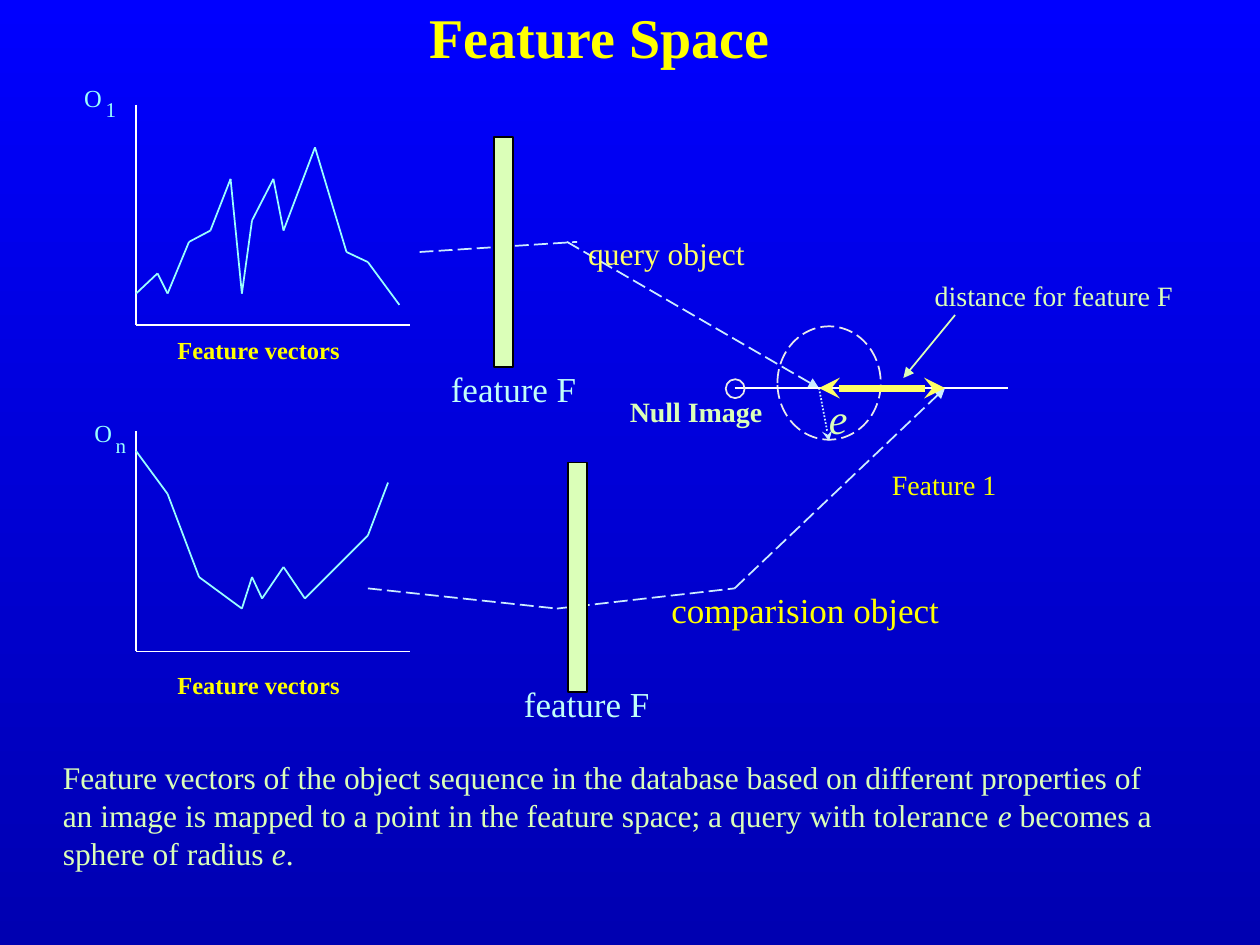
from lxml import etree
from pptx import Presentation
from pptx.dml import color
from pptx.enum import dml, shapes, text
from pptx.oxml import ns
from pptx.util import Inches, Pt

FONT = "Times New Roman"
WHITE, CYAN, PALE_BLUE, GREY = "FFFFFF", "99FFFF", "CCECFF", "EAEAEA"
YELLOW, SOFT_YELLOW, GOLD = "FFFF00", "FFFF66", "FAFD00"
GREEN, AQUA = "DBFFB8", "C0FEF9"
DASH = dml.MSO_LINE.LONG_DASH

QUERY_CURVE = [(1.08, 2.33), (1.25, 2.17), (1.33, 2.33), (1.5, 1.92), (1.67, 1.83),
               (1.83, 1.42), (1.92, 2.33), (2, 1.75), (2.17, 1.42), (2.25, 1.83),
               (2.5, 1.17), (2.75, 2), (2.92, 2.08), (3.17, 2.42)]
COMPARISON_CURVE = [(1.08, 3.58), (1.33, 3.92), (1.58, 4.58), (1.92, 4.83), (2, 4.58),
                    (2.08, 4.75), (2.25, 4.5), (2.42, 4.75), (2.92, 4.25), (3.08, 3.83)]
EXPLANATION = [
    ["Feature vectors of the object sequence in the database based on different properties of"],
    ["an image is mapped to a point in the feature space; a query with tolerance ", "e", " becomes a"],
    ["sphere of radius ", "e", "."],
]


def rgb(value):
    return color.RGBColor.from_string(value)


def set_line(line, shade, width=1, dash=None):
    line.color.rgb = rgb(shade)
    line.width = Pt(width)
    if dash is not None:
        line.dash_style = dash


def add_line(slide, start, end, shade, width=1, dash=None, head=None, tail=None):
    ends = [Inches(value) for value in (*start, *end)]
    connector = slide.shapes.add_connector(shapes.MSO_CONNECTOR.STRAIGHT, *ends)
    set_line(connector.line, shade, width, dash)
    outline = connector.line._get_or_add_ln()
    for tag, arrow in (("a:headEnd", head), ("a:tailEnd", tail)):
        if arrow:
            etree.SubElement(outline, ns.qn(tag), type=arrow)
    etree.SubElement(connector._element.spPr, ns.qn("a:effectLst"))


def add_path(slide, points, shade, dash=None, tail=None):
    last = len(points) - 2
    for index, (start, end) in enumerate(zip(points, points[1:])):
        add_line(slide, start, end, shade, dash=dash, tail=tail if index == last else None)


def add_figure(slide, kind, box, shade, fill=None, dash=None):
    figure = slide.shapes.add_shape(kind, *map(Inches, box))
    figure.shadow.inherit = False
    if fill:
        figure.fill.solid()
        figure.fill.fore_color.rgb = rgb(fill)
    else:
        figure.fill.background()
    set_line(figure.line, shade, dash=dash)


def write(frame, lines, size, shade, **styles):
    frame.word_wrap = False
    for index, pieces in enumerate(lines):
        paragraph = frame.paragraphs[0] if index == 0 else frame.add_paragraph()
        paragraph.alignment = text.PP_ALIGN.LEFT
        for position, piece in enumerate(pieces):
            run = paragraph.add_run()
            run.text = piece
            formats = {"name": FONT, "size": Pt(size), "italic": position % 2 == 1, **styles}
            for attribute, value in formats.items():
                setattr(run.font, attribute, value)
            run.font.color.rgb = rgb(shade)


def add_label(slide, box, lines, size, shade, **styles):
    label = slide.shapes.add_textbox(*map(Inches, box))
    write(label.text_frame, lines, size, shade, **styles)
    label.text_frame.auto_size = text.MSO_AUTO_SIZE.SHAPE_TO_FIT_TEXT


def add_title(slide):
    title = slide.shapes.title
    place = {"left": 3.31, "top": -0.03, "width": 2.91, "height": 0.63}
    for attribute, value in place.items():
        setattr(title, attribute, Inches(value))
    title.text_frame.auto_size = text.MSO_AUTO_SIZE.NONE
    write(title.text_frame, [["Feature Space"]], 32, YELLOW, bold=True)


def paint_background(slide):
    fill = slide.background.fill
    fill.gradient()
    fill.gradient_angle = 270
    for stop, position, shade in zip(fill.gradient_stops, (0, 1), ("0000FF", "0000B1")):
        stop.position = position
        stop.color.rgb = rgb(shade)


def add_graph(slide, top, curve, name_left, name_top, index, caption_top):
    add_path(slide, [(1.08, top), (1.08, top + 1.75)], WHITE)
    add_path(slide, [(1.08, top + 1.75), (3.25, top + 1.75)], WHITE)
    add_path(slide, curve, CYAN)
    add_label(slide, (name_left, name_top, 0.34, 0.33), [["O"]], 14, CYAN)
    add_label(slide, (name_left + 0.17, name_top + 0.11, 0.3, 0.3), [[index]], 12, CYAN)
    add_label(slide, (1.31, caption_top, 1.54, 0.33), [["Feature vectors"]], 14, YELLOW, bold=True)


def add_feature_bar(slide, left, top, label_left, label_top):
    add_figure(slide, shapes.MSO_SHAPE.RECTANGLE, (left, top, 0.15, 1.82), "000000", GREEN)
    add_label(slide, (label_left, label_top, 1.2, 0.43), [["feature F"]], 20, AQUA)


def add_feature_axis(slide):
    query, compared = (6.5, 3.08), (7.5, 3.08)
    oval = shapes.MSO_SHAPE.OVAL
    add_figure(slide, oval, (6.17, 2.59, 0.82, 0.9), GREY, dash=DASH)
    add_line(slide, query, (6.58, 3.5), PALE_BLUE, dash=dml.MSO_LINE.ROUND_DOT, tail="stealth")
    add_line(slide, (5.83, 3.08), (8, 3.08), WHITE)
    add_figure(slide, oval, (5.76, 3.01, 0.15, 0.15), GREY)
    add_line(slide, query, compared, SOFT_YELLOW, 4, head="stealth", tail="stealth")
    add_line(slide, (7.17, 3), (7.58, 2.5), GREEN, head="triangle")
    add_label(slide, (6.48, 3.07, 0.35, 0.5), [["e"]], 24, GREEN, italic=True)
    add_label(slide, (6.98, 3.66, 1.03, 0.37), [["Feature 1"]], 16, GOLD)
    add_label(slide, (4.9, 3.08, 1.26, 0.37), [["Null Image"]], 16, GREEN, bold=True)
    add_label(slide, (7.32, 2.16, 2.09, 0.37), [["distance for feature F"]], 16, GREEN)


def main():
    deck = Presentation()
    deck.slide_width, deck.slide_height = Inches(10), Inches(7.5)
    slide = deck.slides.add_slide(deck.slide_layouts[5])
    paint_background(slide)
    add_title(slide)
    add_graph(slide, 0.83, QUERY_CURVE, 0.57, 0.61, "1", 2.61)
    add_graph(slide, 3.42, COMPARISON_CURVE, 0.65, 3.27, "n", 5.27)
    add_path(slide, [(3.33, 2), (4.58, 1.92)], PALE_BLUE, DASH)
    add_path(slide, [(4.5, 1.92), (6.5, 3.08)], PALE_BLUE, DASH, "triangle")
    add_path(slide, [(2.92, 4.67), (4.42, 4.83), (5.83, 4.67), (7.5, 3.08)],
             PALE_BLUE, DASH, "triangle")
    add_feature_bar(slide, 3.92, 1.09, 3.48, 2.87)
    add_feature_bar(slide, 4.51, 3.67, 4.06, 5.37)
    add_feature_axis(slide)
    add_label(slide, (4.57, 1.81, 1.44, 0.4), [["query object"]], 18, SOFT_YELLOW)
    add_label(slide, (5.23, 4.62, 2.33, 0.43), [["comparision object"]], 20, YELLOW)
    add_label(slide, (0.4, 5.97, 8.84, 1), EXPLANATION, 18, GREEN)
    deck.save("out.pptx")


if __name__ == "__main__":
    main()
